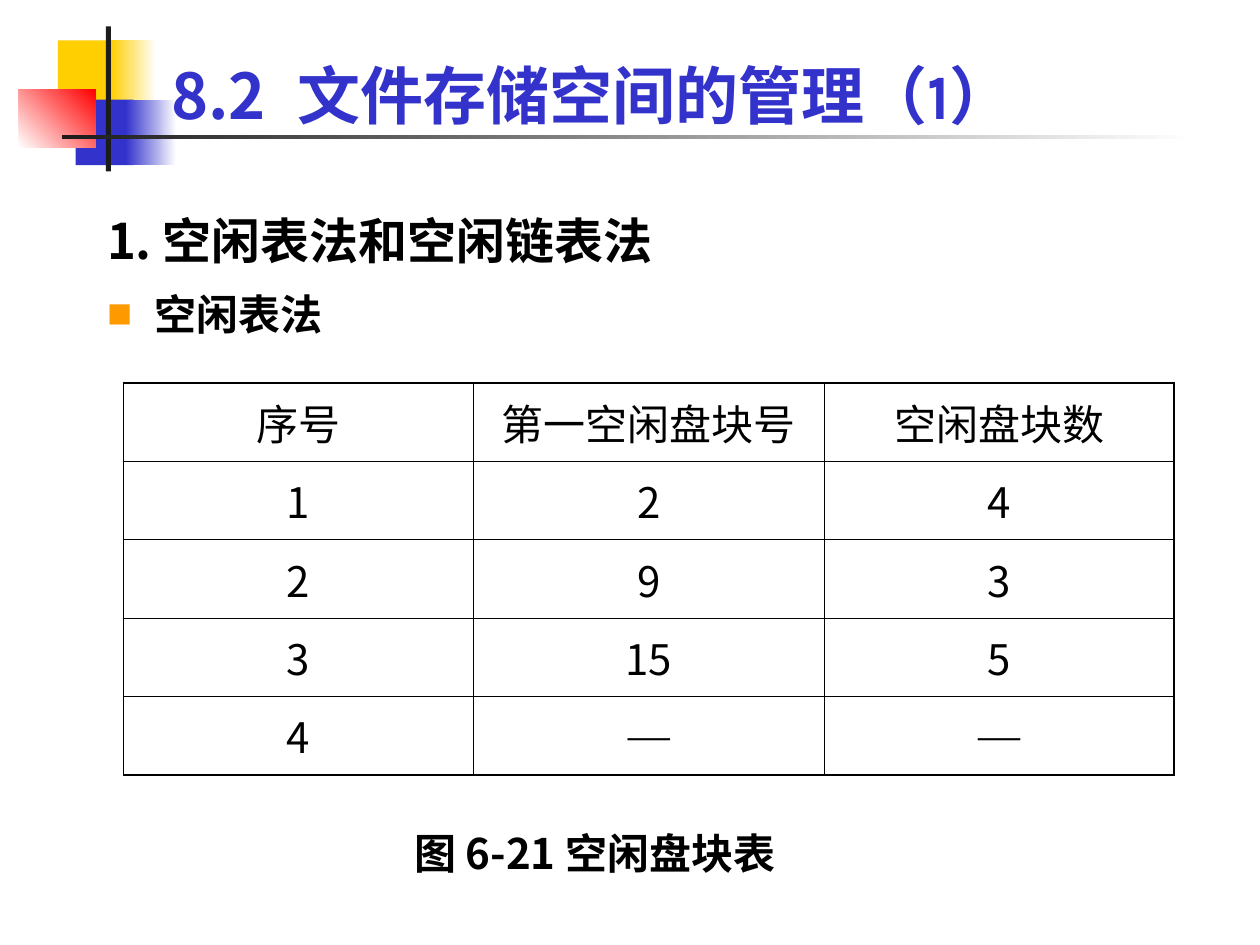
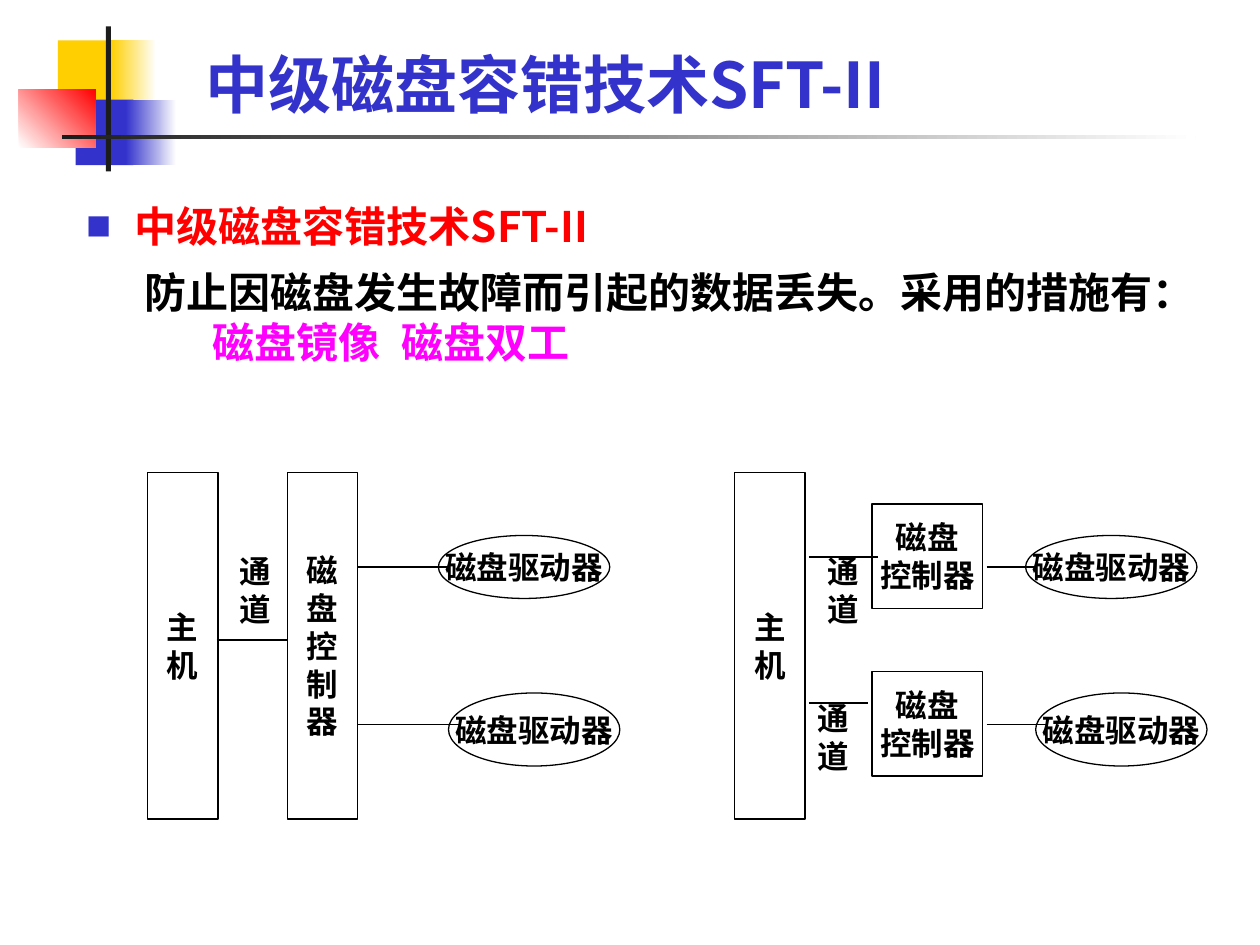
import pptx
import pptx.util
import pptx.dml.color
import pptx.enum.text
import pptx.enum.shapes
import pptx.oxml.ns
import lxml.etree

INK = {"gold": "FFCF01", "blue": "3333CC", "red": "FF0000", "dark": "1C1C1C",
       "white": "FFFFFF", "black": "000000", "mark": "FF9900", "pink": "FF00FF"}
HAN, LATIN, SERIF = "Noto Sans CJK SC", "Karla", "Times New Roman"
WIDE, HIGH = 10, 7.5
SHAPE = pptx.enum.shapes.MSO_SHAPE
ALIGN = pptx.enum.text.PP_ALIGN
ANCHOR = pptx.enum.text.MSO_ANCHOR
Inch, Pt = pptx.util.Inches, pptx.util.Pt

DECOR = [
    ((0.46, 0.32, 0.48, 0.52), ["gold"], 0),
    ((0.88, 0.32, 0.36, 0.52), ["gold", "white"], 0),
    ((0.60, 0.79, 0.46, 0.52), ["blue"], 0),
    ((1.00, 0.79, 0.40, 0.52), ["blue", "white"], 0),
    ((0.15, 0.71, 0.61, 0.46), ["white", "red"], 45),
    ((0.84, 0.21, 0.04, 1.15), ["dark"], 0),
    ((0.49, 1.07, 9.00, 0.03), ["dark", "white"], 0),
]

SPACE = {
    "title": [("8.2\t", HAN), ("文件存储空间的管理（1）", LATIN)],
    "head": (1.26, 0.04, 8.52, 1.06),
    "body": (0.75, 1.39, 6.06, 5.32),
    "list": [
        dict(text="1. 空闲表法和空闲链表法", size=28, pitch=50, left=0.38, first=-0.38),
        dict(text="空闲表法", pitch=40, left=0.38, first=-0.38, mark="mark"),
    ],
}
BLOCKS = [
    ["序号", "第一空闲盘块号", "空闲盘块数"],
    ["1", "2", "4"],
    ["2", "9", "3"],
    ["3", "15", "5"],
    ["4", "—", "—"],
]
CAPTION = "图 6-21 空闲盘块表"

FAULT = {
    "title": [("中级磁盘容错技术SFT-II", HAN)],
    "head": (1.53, 0.25, 6.32, 0.76),
    "body": (0.59, 1.42, 8.74, 2.07),
    "list": [
        dict(text="中级磁盘容错技术SFT-II", ink="red", pitch=37.5,
             left=0.38, first=-0.38, mark="blue"),
        dict(text="防止因磁盘发生故障而引起的数据丢失。采用的措施有：", pitch=37.5,
             left=0.38, first=0.08),
        dict(text="磁盘镜像\t磁盘双工", ink="pink", pitch=28.8, first=1, tab=3.99, level=2),
    ],
}
HOST = ("主\n机", SHAPE.RECTANGLE, (0, 0, 0.56, 2.75))
DRIVES = [("磁盘驱动器", SHAPE.OVAL, (2.31, 0.5, 1.36, 0.5)),
          ("磁盘驱动器", SHAPE.OVAL, (2.39, 1.75, 1.36, 0.58))]
PLANS = [
    {"at": (1.17, 3.75),
     "nodes": [("磁\n盘\n控\n制\n器", SHAPE.RECTANGLE, (1.11, 0, 0.56, 2.75))],
     "links": [(1.67, 2.39, 0.75), (1.67, 2.47, 2), (0.55, 1.11, 1.33)],
     "tags": [(0.63, 0.58)]},
    {"at": (5.83, 3.75),
     "nodes": [("磁盘\n控制器", SHAPE.RECTANGLE, (1.09, top, 0.88, 0.83))
               for top in (0.25, 1.58)],
     "links": [(2, 2.4, 0.75), (2, 2.48, 2), (0.59, 1.14, 0.67), (0.59, 1.06, 1.83)],
     "tags": [(0.64, 0.58), (0.56, 1.75)]},
]


def tint(name):
    return pptx.dml.color.RGBColor.from_string(INK[name])


def add(host, tag, **atts):
    return lxml.etree.SubElement(host, pptx.oxml.ns.qn(tag), atts)


def style(par, size=24, ink="black", bold=True, face=HAN, east=HAN, pitch=None,
          left=0, first=0, mark=None, tab=None, align=ALIGN.LEFT):
    par.alignment = align
    par.space_before = par.space_after = Pt(0)
    if pitch:
        par.line_spacing = Pt(pitch)
    props = par._p.get_or_add_pPr()
    props.set("marL", str(Inch(left)))
    props.set("indent", str(Inch(first)))
    if mark:
        add(add(props, "a:buClr"), "a:srgbClr", val=INK[mark])
        add(props, "a:buSzPct", val="60000")
        add(props, "a:buFont", typeface=HAN)
        add(props, "a:buChar", char="■")
    else:
        add(props, "a:buNone")
    if tab:
        add(add(props, "a:tabLst"), "a:tab", pos=str(Inch(tab)), algn="l")
    font = par.font
    font.size, font.bold, font.name = Pt(size), bold, face
    font.color.rgb = tint(ink)
    add(props.find(pptx.oxml.ns.qn("a:defRPr")), "a:ea", typeface=east)


def place(shape, box):
    shape.left, shape.top, shape.width, shape.height = map(Inch, box)


def decorate(slide, layout):
    for i, (box, inks, angle) in enumerate(DECOR):
        shape = slide.shapes.add_shape(SHAPE.RECTANGLE, *map(Inch, box))
        shape.shadow.inherit = False
        shape.line.fill.background()
        if len(inks) == 1:
            shape.fill.solid()
            shape.fill.fore_color.rgb = tint(inks[0])
        else:
            shape.fill.gradient()
            shape.fill.gradient_angle = angle
            for stop, ink in zip(shape.fill.gradient_stops, inks):
                stop.color.rgb = tint(ink)
        shape.element.nvSpPr.cNvPr.set("id", str(20 + i))
        layout.shapes.element.insert(2 + i, shape.element)


def fill_page(slide, page):
    title, body = slide.shapes.title, slide.placeholders[1]
    for shape, box in ((title, page["head"]), (body, page["body"])):
        place(shape, box)
        shape.text_frame.auto_size = pptx.enum.text.MSO_AUTO_SIZE.NONE
    title.text_frame.vertical_anchor = ANCHOR.BOTTOM
    par = title.text_frame.paragraphs[0]
    style(par, size=36, ink="blue", tab=1.13)
    for text, face in page["title"]:
        run = par.add_run()
        run.text = text
        if face != HAN:
            run.font.name = face
    frame = body.text_frame
    for i, item in enumerate(page["list"]):
        par = frame.add_paragraph() if i else frame.paragraphs[0]
        look = dict(item)
        par.level = look.pop("level", 0)
        par.text = look.pop("text")
        style(par, **look)


def add_text(slide, text, box, wrap, **look):
    shape = slide.shapes.add_textbox(*map(Inch, box))
    shape.text_frame.word_wrap = wrap
    shape.text_frame.text = text
    style(shape.text_frame.paragraphs[0], **look)


def edge(cell, side, width):
    line = add(cell._tc.get_or_add_tcPr(), "a:ln" + side, w=str(Pt(width)))
    add(add(line, "a:solidFill"), "a:srgbClr", val=INK["black"])


def add_grid(slide, rows, box):
    high, wide = len(rows), len(rows[0])
    table = slide.shapes.add_table(high, wide, *map(Inch, box)).table
    table.first_row = table.horz_banding = False
    for r, row in enumerate(rows):
        for c, text in enumerate(row):
            cell = table.cell(r, c)
            outer = {"L": c == 0, "R": c == wide - 1, "T": r == 0, "B": r == high - 1}
            for side, is_out in outer.items():
                edge(cell, side, 1.08 if is_out else 0.45)
            cell.fill.background()
            cell.vertical_anchor = ANCHOR.MIDDLE
            cell.text = text
            face = SERIF if text == "—" else HAN
            style(cell.text_frame.paragraphs[0], bold=False, face=face, east=face,
                  align=ALIGN.CENTER)


def add_node(slide, text, kind, box):
    shape = slide.shapes.add_shape(kind, *map(Inch, box))
    shape.shadow.inherit = False
    shape.fill.solid()
    shape.fill.fore_color.rgb = tint("white")
    shape.line.color.rgb = tint("black")
    shape.line.width = Pt(0.75)
    frame = shape.text_frame
    frame.word_wrap = False
    frame.vertical_anchor = ANCHOR.MIDDLE
    frame.text = text
    for par in frame.paragraphs:
        style(par, size=18, face=LATIN, pitch=21.6, align=ALIGN.CENTER)


def add_link(slide, start, end, y):
    line = slide.shapes.add_connector(pptx.enum.shapes.MSO_CONNECTOR.STRAIGHT,
                                      *map(Inch, (start, y, end, y)))
    line.line.color.rgb = tint("black")
    line.line.width = Pt(0.75)
    add(line.element.spPr, "a:effectLst")


def add_plan(slide, plan):
    x, y = plan["at"]
    for text, kind, (left, top, wide, high) in [HOST] + plan["nodes"] + DRIVES:
        add_node(slide, text, kind, (x + left, y + top, wide, high))
    for start, end, level in plan["links"]:
        add_link(slide, x + start, x + end, y + level)
    for left, top in plan["tags"]:
        add_text(slide, "通道", (x + left, y + top, 0.4, 0.7), True,
                 size=18, face=LATIN, pitch=21.6)


def main():
    deck = pptx.Presentation()
    deck.slide_width, deck.slide_height = Inch(WIDE), Inch(HIGH)
    layout = deck.slide_layouts[1]
    space, fault = [deck.slides.add_slide(layout) for _ in range(2)]
    decorate(space, layout)

    fill_page(space, SPACE)
    add_grid(space, BLOCKS, (0.98, 3.04, 8.34, 3.11))
    add_text(space, CAPTION, (3.19, 6.52, 3.69, 0.5), False, pitch=28.8)

    fill_page(fault, FAULT)
    for plan in PLANS:
        add_plan(fault, plan)
    deck.save("out.pptx")


if __name__ == "__main__":
    main()
